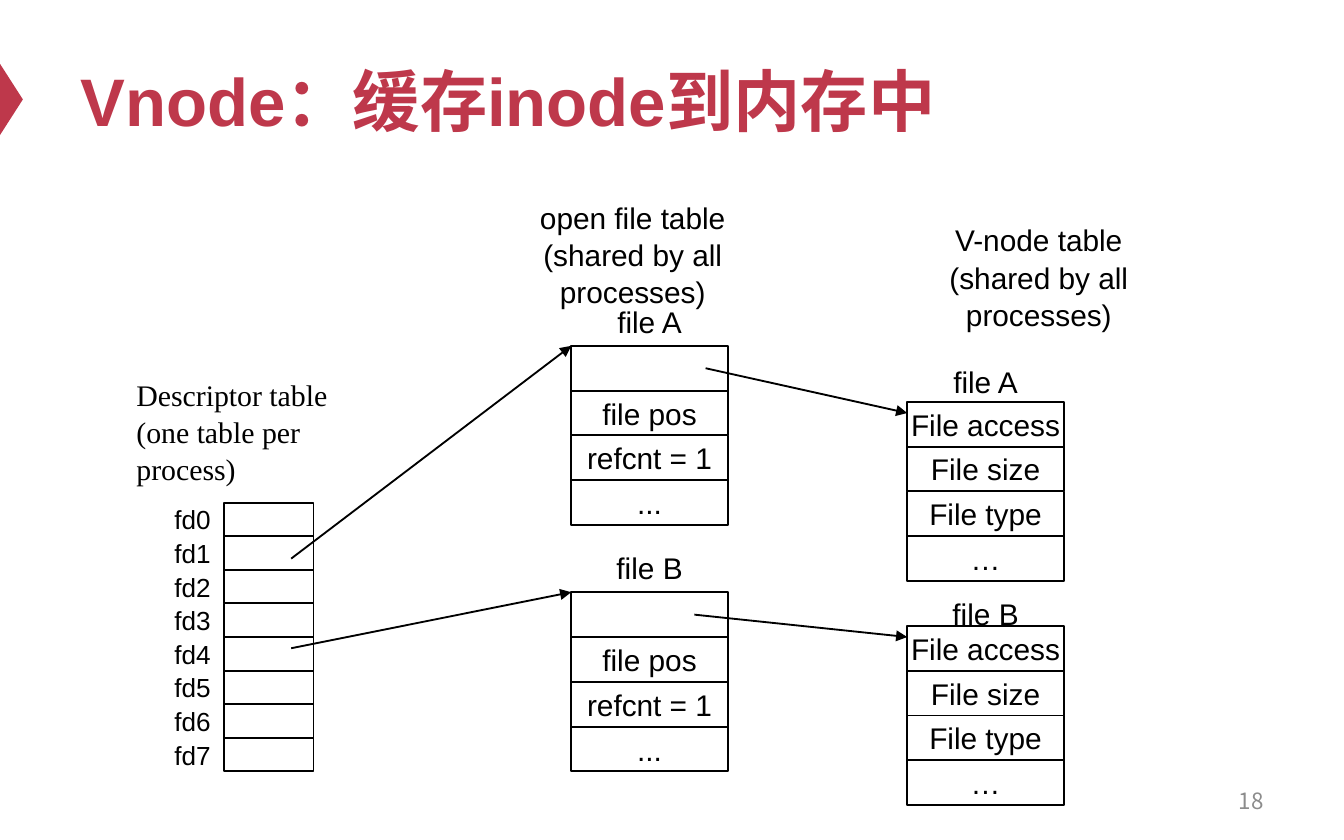
from lxml.etree import SubElement
from pptx import Presentation
from pptx.dml.color import RGBColor
from pptx.enum.shapes import MSO_CONNECTOR, MSO_SHAPE
from pptx.enum.text import MSO_ANCHOR, PP_ALIGN
from pptx.oxml.ns import qn
from pptx.util import Inches, Pt

RED = RGBColor(0xBE, 0x38, 0x4B)
GREY = RGBColor(0x8C, 0x8C, 0x8C)
BLACK = RGBColor(0, 0, 0)
LATIN, CJK, SERIF = "Arial", "Noto Sans CJK SC", "Times New Roman"

# The diagram sits on a grid of twelve cells to the inch, raised a hair.
CELLS_PER_INCH = 12
GRID_TOP = -0.01
RECORD_WIDTH, RECORD_ROW = 14, 4
SLOT_WIDTH, SLOT_ROW = 8, 3
LABEL_HEIGHT = 4.44
HEADING_HEIGHT = 10.8


def point(column, row):
    return Inches(column / CELLS_PER_INCH), Inches(row / CELLS_PER_INCH + GRID_TOP)


def frame(column, row, width, height):
    """Turn grid cells into left, top, width, height."""
    return (*point(column, row), Inches(width / CELLS_PER_INCH),
            Inches(height / CELLS_PER_INCH))


def write(shape, lines, size=16, font=LATIN, color=BLACK, bold=False,
          align=PP_ALIGN.CENTER, anchor=MSO_ANCHOR.MIDDLE, wrap=False, spacing=None):
    text = shape.text_frame
    text.word_wrap = wrap
    text.vertical_anchor = anchor
    for index, line in enumerate(lines):
        para = text.add_paragraph() if index else text.paragraphs[0]
        para.alignment = align
        para.line_spacing = spacing
        span = para.add_run()
        span.text = line
        span.font.size = Pt(size)
        span.font.name = font
        span.font.bold = bold
        span.font.color.rgb = color
        SubElement(span._r.get_or_add_rPr(), qn("a:ea"), typeface=CJK)


def add_text(page, box, lines, **style):
    write(page.shapes.add_textbox(*box), lines, **style)


def add_cell(page, box, label=""):
    cell = page.shapes.add_shape(MSO_SHAPE.RECTANGLE, *box)
    cell.shadow.inherit = False
    cell.fill.background()
    cell.line.color.rgb = BLACK
    cell.line.width = Pt(1)
    if label:
        write(cell, [label])


def add_arrow(page, start, end):
    arrow = page.shapes.add_connector(MSO_CONNECTOR.STRAIGHT, *point(*start), *point(*end))
    arrow.line.color.rgb = BLACK
    arrow.line.width = Pt(1)
    SubElement(arrow.line._get_or_add_ln(), qn("a:tailEnd"), type="triangle")
    SubElement(arrow._element.spPr, qn("a:effectLst"))


def add_header(page, left, top, width, height):
    """Title with the red marker at the edge of the slide."""
    long_side, short_side = Inches(0.53), Inches(0.17)
    marker = page.shapes.add_shape(
        MSO_SHAPE.ISOSCELES_TRIANGLE, (short_side - long_side) // 2,
        top + (height - short_side) // 2, long_side, short_side)
    marker.rotation = 90
    marker.shadow.inherit = False
    marker.fill.solid()
    marker.fill.fore_color.rgb = RED
    marker.line.fill.background()
    add_text(page, (left, top, width, height), ["Vnode：缓存inode到内存中"], size=36,
             color=RED, bold=True, align=PP_ALIGN.LEFT, wrap=True)


def add_descriptor_table(page, column, row, count=8):
    add_text(page, frame(column - 9, row - 12, 21, HEADING_HEIGHT),
             ["Descriptor table (one table per process)"], font=SERIF,
             align=PP_ALIGN.LEFT, anchor=MSO_ANCHOR.TOP, wrap=True, spacing=1.04)
    for index in range(count):
        slot_row = row + index * SLOT_ROW
        add_text(page, frame(column - SLOT_WIDTH, slot_row, SLOT_WIDTH, SLOT_ROW),
                 [f"fd{index}"], size=14, align=PP_ALIGN.RIGHT)
        add_cell(page, frame(column, slot_row, SLOT_WIDTH, SLOT_ROW))


def add_record(page, column, row, name, fields, label_rise):
    """One file's stack of fields under its name."""
    add_text(page, frame(column, row - label_rise, RECORD_WIDTH, LABEL_HEIGHT), [name])
    for index, field in enumerate(fields):
        add_cell(page, frame(column, row + index * RECORD_ROW, RECORD_WIDTH, RECORD_ROW), field)


def add_file_table(page, column, heading, heading_box, fields, records):
    add_text(page, frame(*heading_box, HEADING_HEIGHT),
             [heading, "(shared by all processes)"], wrap=True, spacing=1.04)
    for name, row, label_rise in records:
        add_record(page, column, row, name, fields, label_rise)


def main():
    deck = Presentation()
    deck.slide_width, deck.slide_height = Inches(10), Inches(6.25)
    page = deck.slides.add_slide(deck.slide_layouts[6])

    add_header(page, Inches(0.5), Inches(0.25), Inches(9), Inches(0.98))
    add_text(page, (Inches(7.17), Inches(5.79), Inches(2.33), Inches(0.33)), ["18"],
             size=12, font=CJK, color=GREY, align=PP_ALIGN.RIGHT, wrap=True)

    add_descriptor_table(page, 20, 45)
    add_file_table(page, 51, "open file table", (42, 17.4, 29),
                   ["", "file pos", "refcnt = 1", "..."],
                   [("file A", 31, 4.4), ("file B", 53, 4.4)])
    add_file_table(page, 81, "V-node table", (81.5, 19.4, 22.5),
                   ["File access", "File size", "File type", "…"],
                   [("file A", 36, 4), ("file B", 56, 3.3)])

    for start, end in [((26, 50), (51, 31)), ((26, 58), (51, 53)),
                       ((63, 33), (81, 37)), ((62, 55), (81, 57))]:
        add_arrow(page, start, end)
    deck.save("out.pptx")


if __name__ == "__main__":
    main()
